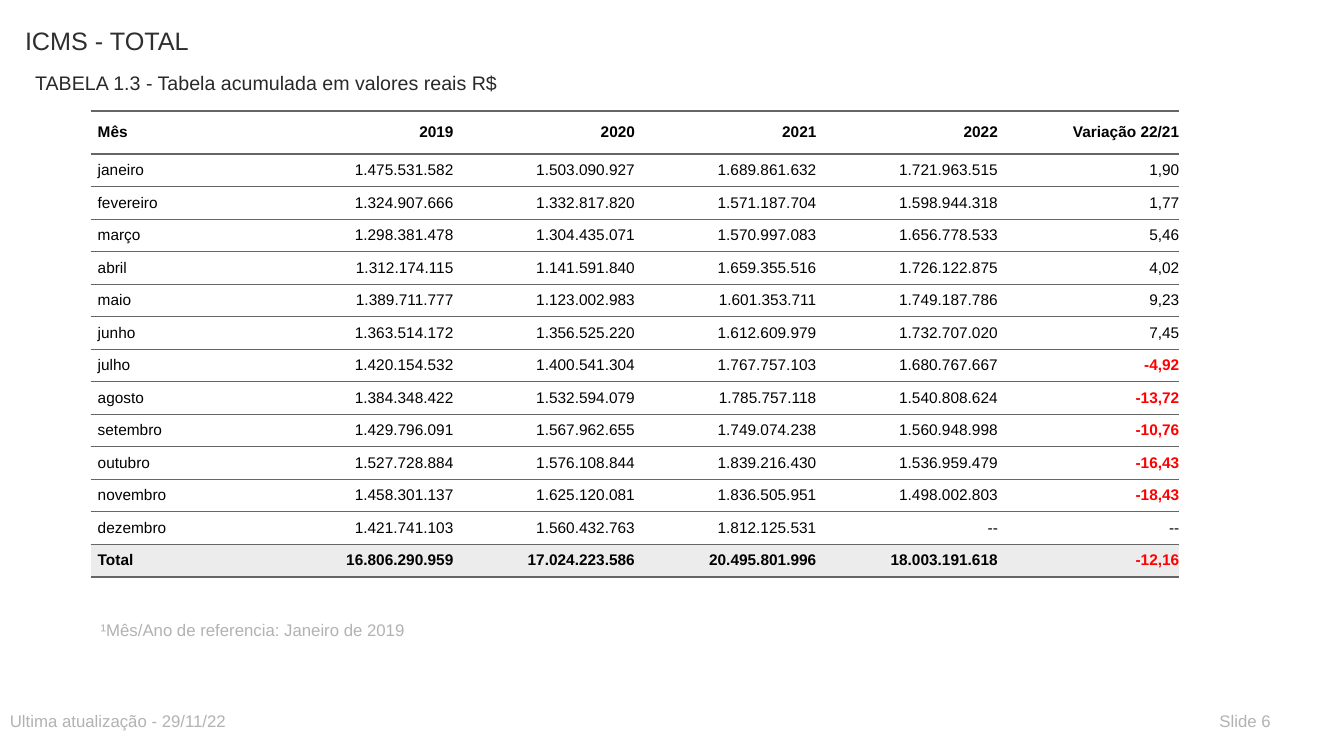
from dataclasses import dataclass

from lxml import etree
from pptx import Presentation
from pptx.dml.color import RGBColor
from pptx.enum.text import MSO_ANCHOR, PP_ALIGN
from pptx.oxml.ns import qn
from pptx.util import Pt

MIDDLE, TOP = MSO_ANCHOR.MIDDLE, MSO_ANCHOR.TOP
LEFT, RIGHT = PP_ALIGN.LEFT, PP_ALIGN.RIGHT


@dataclass(frozen=True)
class Theme:
    """Colours, type sizes and line widths of the slide."""
    font: str = "Arial"
    title: str = "2D2E2D"
    subtitle: str = "292929"
    muted: str = "B2B2B2"
    text: str = "000000"
    negative: str = "FF0000"
    rule: str = "666666"
    cell: str = "FFFFFF"
    total: str = "ECECEC"
    title_size: int = 18
    subtitle_size: int = 14
    note_size: int = 12
    table_size: int = 11
    thick: float = 2
    thin: float = 0.5


THEME = Theme()

HEADER = ["Mês", "2019", "2020", "2021", "2022", "Variação 22/21"]
MONTHS = [
    ["janeiro", "1.475.531.582", "1.503.090.927", "1.689.861.632", "1.721.963.515", "1,90"],
    ["fevereiro", "1.324.907.666", "1.332.817.820", "1.571.187.704", "1.598.944.318", "1,77"],
    ["março", "1.298.381.478", "1.304.435.071", "1.570.997.083", "1.656.778.533", "5,46"],
    ["abril", "1.312.174.115", "1.141.591.840", "1.659.355.516", "1.726.122.875", "4,02"],
    ["maio", "1.389.711.777", "1.123.002.983", "1.601.353.711", "1.749.187.786", "9,23"],
    ["junho", "1.363.514.172", "1.356.525.220", "1.612.609.979", "1.732.707.020", "7,45"],
    ["julho", "1.420.154.532", "1.400.541.304", "1.767.757.103", "1.680.767.667", "-4,92"],
    ["agosto", "1.384.348.422", "1.532.594.079", "1.785.757.118", "1.540.808.624", "-13,72"],
    ["setembro", "1.429.796.091", "1.567.962.655", "1.749.074.238", "1.560.948.998", "-10,76"],
    ["outubro", "1.527.728.884", "1.576.108.844", "1.839.216.430", "1.536.959.479", "-16,43"],
    ["novembro", "1.458.301.137", "1.625.120.081", "1.836.505.951", "1.498.002.803", "-18,43"],
    ["dezembro", "1.421.741.103", "1.560.432.763", "1.812.125.531", "--", "--"],
]
TOTAL = ["Total", "16.806.290.959", "17.024.223.586", "20.495.801.996", "18.003.191.618", "-12,16"]


def set_attributes(target, values):
    """Set each named attribute on the target."""
    for name, value in values.items():
        setattr(target, name, value)


def write(paragraph, text, size, colour, bold=False):
    """Write one run of formatted text."""
    run = paragraph.add_run()
    run.text = text
    set_attributes(run.font, {"name": THEME.font, "size": Pt(size), "bold": bold})
    run.font.color.rgb = RGBColor.from_string(colour)


def add_label(slide, box, text, size, colour):
    """Place a line of text in a box of left, top, width and height."""
    frame = slide.shapes.add_textbox(*map(Pt, box)).text_frame
    set_attributes(frame, {"word_wrap": True, "vertical_anchor": TOP})
    write(frame.paragraphs[0], text, size, colour)


def set_borders(cell, top, bottom):
    """Draw the horizontal rules of a cell and hide its side rules."""
    properties = cell._tc.get_or_add_tcPr()
    widths = {"a:lnL": 0, "a:lnR": 0, "a:lnT": top, "a:lnB": bottom}
    for index, (tag, width) in enumerate(widths.items()):
        line = etree.Element(qn(tag), w=str(int(Pt(width))))
        if width:
            fill = etree.SubElement(line, qn("a:solidFill"))
            etree.SubElement(fill, qn("a:srgbClr"), val=THEME.rule)
        else:
            etree.SubElement(line, qn("a:noFill"))
        properties.insert(index, line)


def fill_cell(cell, text, column, background, strong, rules):
    """Format one table cell and write its value."""
    cell.fill.solid()
    cell.fill.fore_color.rgb = RGBColor.from_string(background)
    set_attributes(cell, {
        "margin_left": 0, "margin_right": 0,
        "margin_top": Pt(5), "margin_bottom": Pt(5),
        "vertical_anchor": MIDDLE,
    })
    set_borders(cell, *rules)
    paragraph = cell.text_frame.paragraphs[0]
    paragraph.alignment = RIGHT if column else LEFT
    paragraph._p.get_or_add_pPr().set("marL", str(int(Pt(5))))
    negative = text.startswith("-") and text != "--"
    colour = THEME.negative if negative else THEME.text
    write(paragraph, text, THEME.table_size, colour, strong or negative)


def add_revenue_table(slide, box, header_height):
    """Place the monthly revenue table in its box."""
    rows = [HEADER, *MONTHS, TOTAL]
    last = len(rows) - 1
    left, top, width, height = box
    shape = slide.shapes.add_table(len(rows), len(HEADER), *map(Pt, box))
    table = shape.table
    set_attributes(table, {"first_row": False, "horz_banding": False})
    for column in table.columns:
        column.width = Pt(width / len(HEADER))
    for number, values in enumerate(rows):
        body_height = (height - header_height) / last
        table.rows[number].height = Pt(body_height if number else header_height)
        upper = THEME.thick if number < 2 else THEME.thin
        lower = THEME.thick if number in (0, last) else THEME.thin
        background = THEME.total if number == last else THEME.cell
        for column, text in enumerate(values):
            fill_cell(table.cell(number, column), text, column, background,
                      number in (0, last), (upper, lower))


def add_heading(slide, box):
    """Place the title and the table caption in the heading box."""
    left, top, width, height = box
    add_label(slide, (left, top, width, 42.5), "ICMS - TOTAL",
              THEME.title_size, THEME.title)
    add_label(slide, (left + 7.2, top + 32.4, 468, 21.6),
              "TABELA 1.3 - Tabela acumulada em valores reais R$",
              THEME.subtitle_size, THEME.subtitle)


def add_footer(slide, box):
    """Place the update date and the slide number in the footer box."""
    left, top, width, height = box
    for text, offset, extent in (("Ultima atualização - 29/11/22", 0, 468),
                                 ("Slide 6", width - 64.8, 64.8)):
        add_label(slide, (left + offset, top, extent, height), text,
                  THEME.note_size, THEME.muted)


def main():
    """Build and save the presentation."""
    presentation = Presentation()
    set_attributes(presentation, {"slide_width": Pt(960), "slide_height": Pt(540)})
    slide = presentation.slides.add_slide(presentation.slide_layouts[6])
    add_heading(slide, (10.8, 14.4, 576, 54))
    add_label(slide, (64.8, 439.2, 468, 21.6), "¹Mês/Ano de referencia: Janeiro de 2019",
              THEME.note_size, THEME.muted)
    add_revenue_table(slide, (64.8, 79.2, 777.6, 320.25), 31)
    add_footer(slide, (0, 504, 928.8, 21.6))
    presentation.save("out.pptx")


if __name__ == "__main__":
    main()
